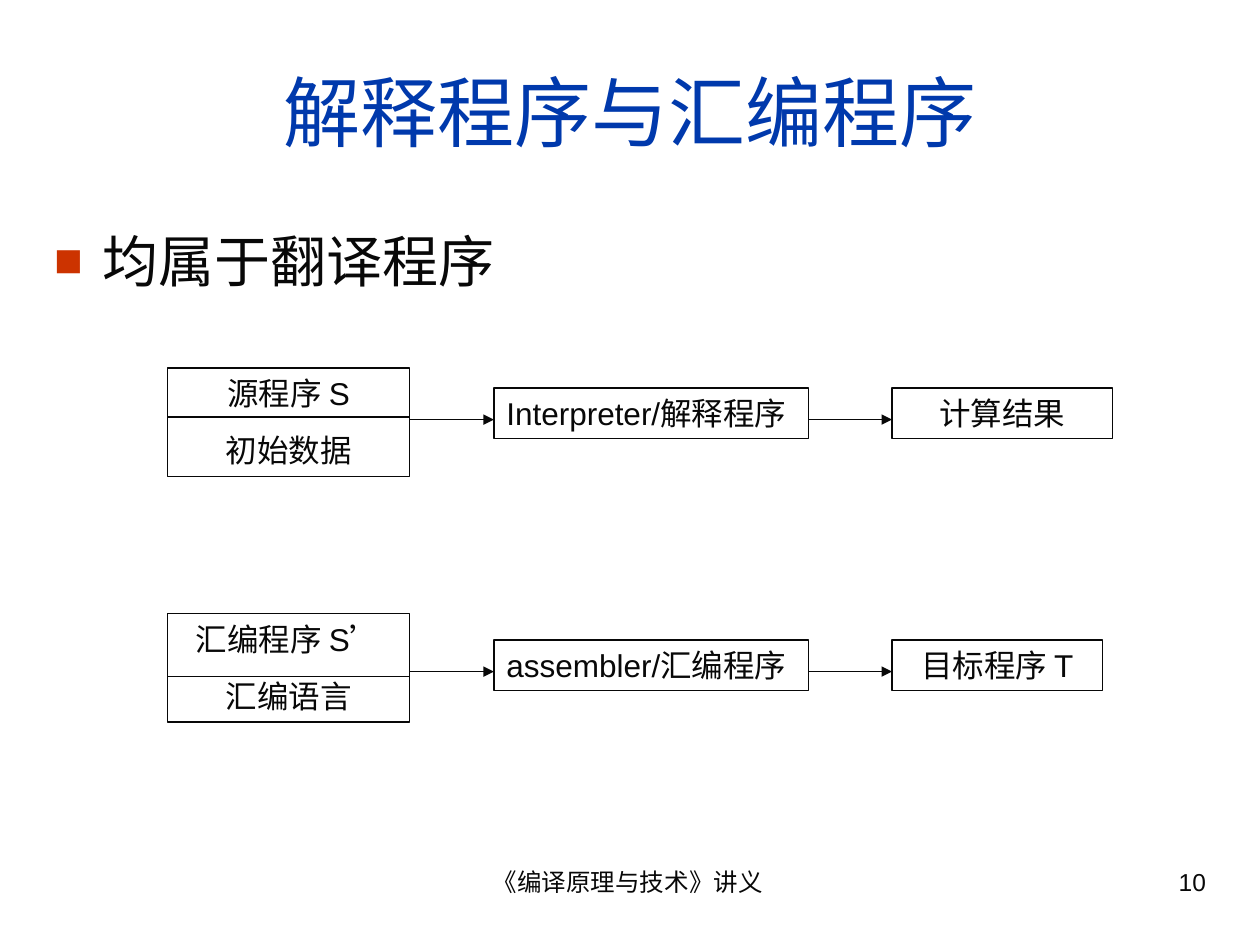
from lxml.etree import SubElement
from pptx import Presentation
from pptx.dml.color import RGBColor
from pptx.enum.shapes import MSO_CONNECTOR, MSO_SHAPE
from pptx.enum.text import MSO_ANCHOR, MSO_AUTO_SIZE, PP_ALIGN
from pptx.oxml.ns import qn
from pptx.util import Inches, Pt

INK = RGBColor(0x08, 0x08, 0x08)
BLUE = RGBColor(0x00, 0x39, 0xAC)
RED = RGBColor(0xCC, 0x33, 0x00)

FONT = "Arial"
LINE_WIDTH = Pt(0.75)
BOX_HEIGHT = 0.4
SOURCE_LEFT, SOURCE_WIDTH, SOURCE_HEIGHT = 1.33, 1.92, 0.86
TOOL_LEFT, TOOL_WIDTH = 3.92, 2.5
RESULT_LEFT = 7.08


def write(box, *lines, size=18, color=INK, align=PP_ALIGN.CENTER,
          anchor=MSO_ANCHOR.TOP, before=0):
    """Fill a text frame with one paragraph per line."""
    frame = box.text_frame
    frame.word_wrap = True
    frame.auto_size = MSO_AUTO_SIZE.NONE
    frame.vertical_anchor = anchor
    for index, line in enumerate(lines):
        para = frame.add_paragraph() if index else frame.paragraphs[0]
        para.alignment = align
        para.space_before = Pt(before)
        span = para.add_run()
        span.text = line
        span.font.name = FONT
        span.font.size = Pt(size)
        span.font.color.rgb = color


def place(box, left, top, width, height):
    box.left, box.top = Inches(left), Inches(top)
    box.width, box.height = Inches(width), Inches(height)


def add_bullet(para, mark, color, percent, indent):
    props = para._p.get_or_add_pPr()
    props.set("marL", str(Inches(indent)))
    props.set("indent", str(-Inches(indent)))
    fill = SubElement(props, qn("a:buClr"))
    SubElement(fill, qn("a:srgbClr"), val=str(color))
    SubElement(props, qn("a:buSzPct"), val=str(percent * 1000))
    SubElement(props, qn("a:buFont"), typeface=FONT)
    SubElement(props, qn("a:buChar"), char=mark)


def add_label(page, text, left, width, align):
    box = page.shapes.add_textbox(
        Inches(left), Inches(6.83), Inches(width), Inches(0.52))
    write(box, text, size=14, align=align)


def add_box(group, *lines, left, top, width, height=BOX_HEIGHT,
            align=PP_ALIGN.CENTER):
    box = group.shapes.add_shape(
        MSO_SHAPE.RECTANGLE, Inches(left), Inches(top),
        Inches(width), Inches(height))
    box.shadow.inherit = False
    box.fill.background()
    box.line.color.rgb = INK
    box.line.width = LINE_WIDTH
    write(box, *lines, align=align, before=11.2)


def add_line(group, start, end, y, arrow=False):
    line = group.shapes.add_connector(
        MSO_CONNECTOR.STRAIGHT, Inches(start), Inches(y),
        Inches(end), Inches(y))
    line.line.color.rgb = INK
    line.line.width = LINE_WIDTH
    if arrow:
        SubElement(line.line._get_or_add_ln(), qn("a:tailEnd"),
                   type="triangle")
    SubElement(line._element.spPr, qn("a:effectLst"))


def add_flow(page, source, tool, result, source_top, divider, tool_top,
             result_width):
    """Draw one row: a two-part source, the translator and its result."""
    group = page.shapes.add_group_shape()
    source_right = SOURCE_LEFT + SOURCE_WIDTH
    arrow_y = tool_top + 0.25

    add_box(group, *source, left=SOURCE_LEFT, top=source_top,
            width=SOURCE_WIDTH, height=SOURCE_HEIGHT)
    add_line(group, SOURCE_LEFT, source_right, divider)
    add_box(group, tool, left=TOOL_LEFT, top=tool_top, width=TOOL_WIDTH,
            align=PP_ALIGN.LEFT)
    add_box(group, result, left=RESULT_LEFT, top=tool_top,
            width=result_width)
    add_line(group, source_right, TOOL_LEFT, arrow_y, arrow=True)
    add_line(group, TOOL_LEFT + TOOL_WIDTH, RESULT_LEFT, arrow_y, arrow=True)


def main():
    deck = Presentation()
    deck.slide_width, deck.slide_height = Inches(10), Inches(7.5)
    page = deck.slides.add_slide(deck.slide_layouts[1])

    # Title and bullet
    title, body = page.placeholders
    place(title, 0.33, 0.25, 9.34, 1.25)
    write(title, "解释程序与汇编程序", size=44, color=BLUE,
          anchor=MSO_ANCHOR.MIDDLE)
    place(body, 0.33, 1.75, 9.34, 0.83)
    write(body, "均属于翻译程序", size=32, align=PP_ALIGN.LEFT, before=8)
    add_bullet(body.text_frame.paragraphs[0], "■", RED, percent=85,
               indent=0.38)

    # Interpreter and assembler flows
    add_flow(page, ("源程序 S", "初始数据"), "Interpreter/解释程序", "计算结果",
             source_top=2.92, divider=3.31, tool_top=3.08, result_width=1.75)
    add_flow(page, ("汇编程序 S’", "汇编语言"), "assembler/汇编程序", "目标程序 T",
             source_top=4.87, divider=5.37, tool_top=5.08, result_width=1.67)

    # Footer and page number
    add_label(page, "《编译原理与技术》讲义 ", 3.42, 3.17, PP_ALIGN.CENTER)
    add_label(page, "10", 7.17, 2.5, PP_ALIGN.RIGHT)

    deck.save("out.pptx")


if __name__ == "__main__":
    main()
